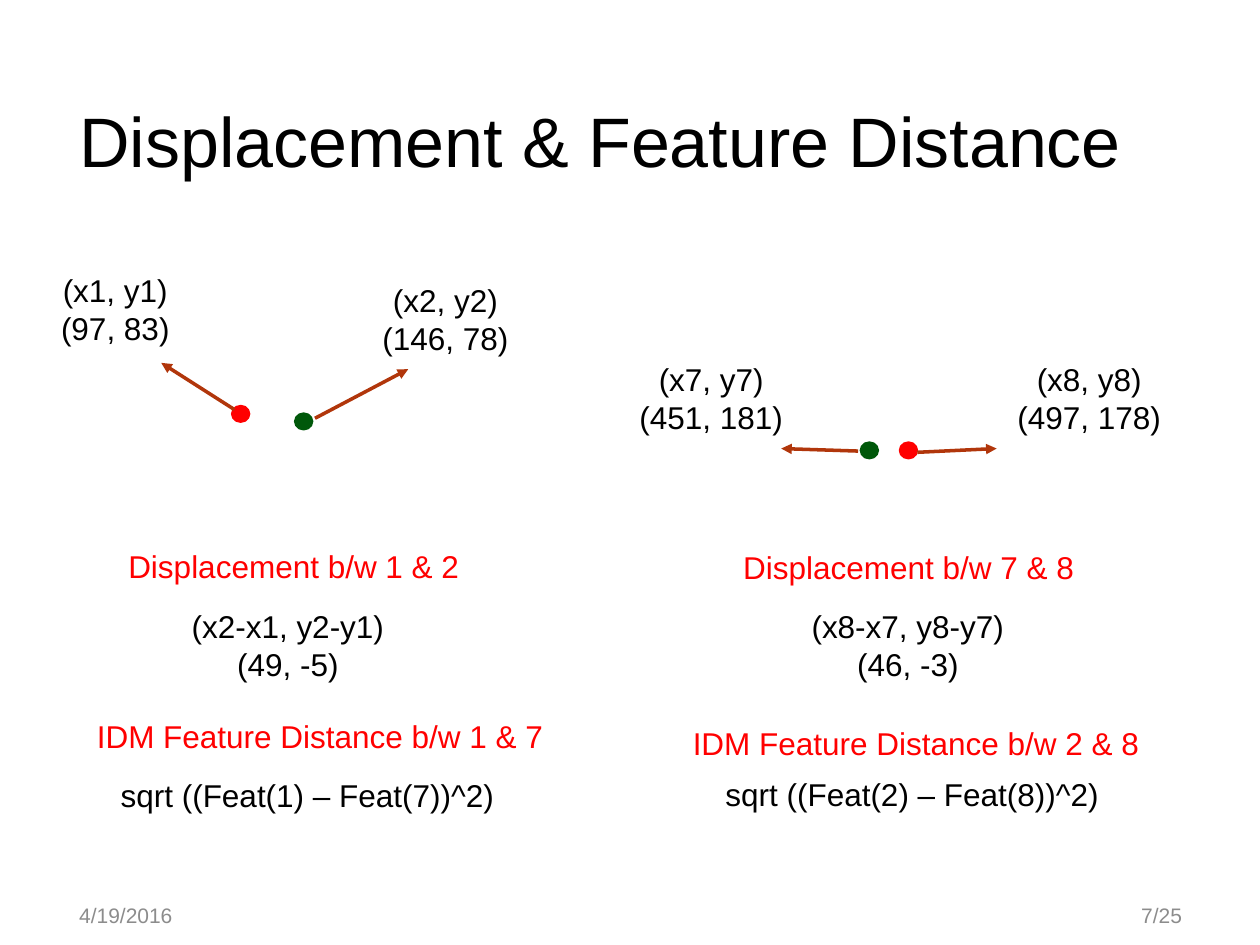
from lxml.etree import SubElement
from pptx import Presentation
from pptx.dml.color import RGBColor
from pptx.enum.shapes import MSO_CONNECTOR as Connector, MSO_SHAPE as Shape
from pptx.enum.text import MSO_ANCHOR as Anchor, PP_ALIGN as Align
from pptx.oxml.ns import qn
from pptx.util import Emu, Pt

PX = 9144  # 100 px to the inch
BLACK, GRAY, RED, GREEN, RUST = "000000", "8C8C8C", "FF0000", "00580A", "B1360B"


def px(length):
    return Emu(length * PX)


def color(value):
    return RGBColor.from_string(value)


def write(frame, text, size=18, fill=BLACK, align=Align.LEFT, font="Arial"):
    """Put each line of text in its own paragraph."""
    for index, line in enumerate(text.split("\n")):
        paragraph = frame.add_paragraph() if index else frame.paragraphs[0]
        paragraph.text = line
        paragraph.alignment = align
        paragraph.font.name = font
        paragraph.font.size = Pt(size)
        paragraph.font.color.rgb = color(fill)


class SlideBuilder:
    dot_width, dot_height = 14, 13
    dot_line, arrow_line = 1, 2

    def __init__(self, slide):
        self.slide = slide

    def text(self, left, top, width, height, text, anchor=Anchor.TOP, bottom=5, **style):
        box = self.slide.shapes.add_textbox(px(left), px(top), px(width), px(height))
        frame = box.text_frame
        frame.word_wrap = True
        frame.vertical_anchor = anchor
        frame.margin_bottom = px(bottom)
        write(frame, text, **style)

    def dot(self, left, top, fill):
        shape = self.slide.shapes.add_shape(
            Shape.OVAL, px(left), px(top), px(self.dot_width), px(self.dot_height))
        shape.shadow.inherit = False
        shape.fill.solid()
        shape.fill.fore_color.rgb = color(fill)
        shape.line.color.rgb = color(fill)
        shape.line.width = Pt(self.dot_line)

    def arrow(self, x1, y1, x2, y2):
        connector = self.slide.shapes.add_connector(
            Connector.STRAIGHT, px(x1), px(y1), px(x2), px(y2))
        connector.line.color.rgb = color(RUST)
        connector.line.width = Pt(self.arrow_line)
        SubElement(connector.line._get_or_add_ln(), qn("a:tailEnd"), type="triangle")
        SubElement(connector._element.spPr, qn("a:effectLst"))


def main():
    presentation = Presentation()
    presentation.slide_width, presentation.slide_height = px(1000), px(750)
    builder = SlideBuilder(presentation.slides.add_slide(presentation.slide_layouts[6]))

    # Title and footer
    builder.text(53, 57, 899, 97, "Displacement & Feature Distance",
                 anchor=Anchor.BOTTOM, bottom=10, size=40)
    footer = {"anchor": Anchor.MIDDLE, "size": 12, "fill": GRAY}
    builder.text(53, 706, 225, 40, "4/19/2016", **footer)
    builder.text(723, 706, 225, 40, "7/25", align=Align.RIGHT, **footer)

    # Feature points with arrows to their coordinates
    for left, top, fill, arrow in [
        (184, 322, RED, (186, 325, 128, 288)),
        (234, 328, GREEN, (250, 332, 324, 293)),
        (683, 351, GREEN, (681, 358, 620, 356)),
        (714, 351, RED, (728, 359, 791, 356)),
    ]:
        builder.dot(left, top, fill)
        builder.arrow(*arrow)

    # Coordinates, displacements
    for left, top, width, text in [
        (36, 210, 111, "(x1, y1)\n(97, 83)"),
        (287, 218, 133, "(x2, y2)\n(146, 78)"),
        (492, 281, 145, "(x7, y7)\n(451, 181)"),
        (792, 281, 145, "(x8, y8)\n(497, 178)"),
        (138, 477, 181, "(x2-x1, y2-y1)\n(49, -5)"),
        (626, 477, 189, "(x8-x7, y8-y7)\n(46, -3)"),
    ]:
        builder.text(left, top, width, 71, text, align=Align.CENTER)

    # Red headings
    for left, top, width, text in [
        (92, 429, 290, "Displacement b/w 1 & 2"),
        (580, 430, 298, "Displacement b/w 7 & 8"),
        (67, 564, 377, "IDM Feature Distance b/w 1 & 7"),
        (540, 570, 377, "IDM Feature Distance b/w 2 & 8"),
    ]:
        builder.text(left, top, width, 40, text, fill=RED)

    # Distance formulas
    for left, top, first, second in [(67, 611, 1, 7), (547, 610, 2, 8)]:
        builder.text(left, top, 354, 40, f"sqrt ((Feat({first}) – Feat({second}))^2)",
                     align=Align.CENTER)

    presentation.save("out.pptx")


if __name__ == "__main__":
    main()
